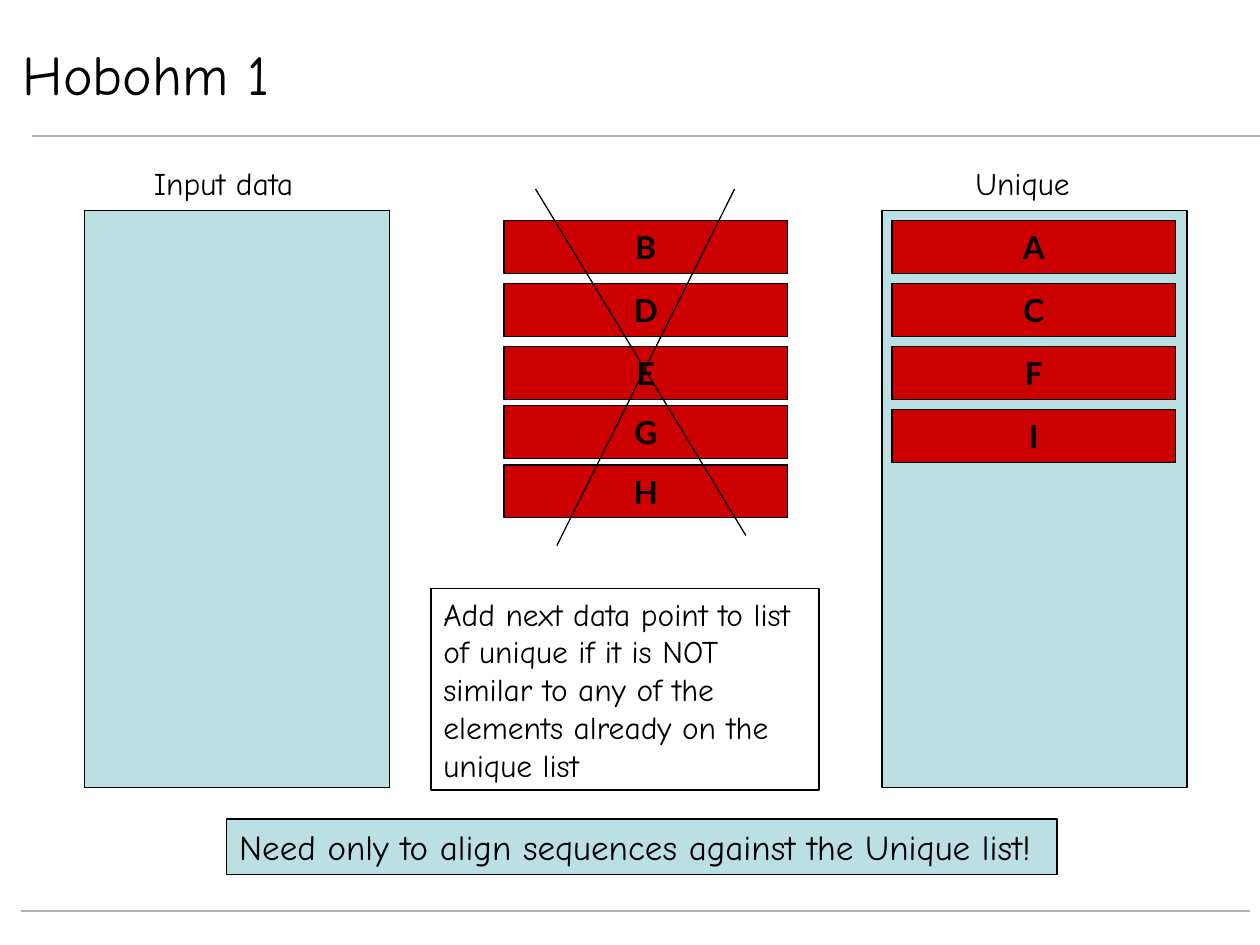
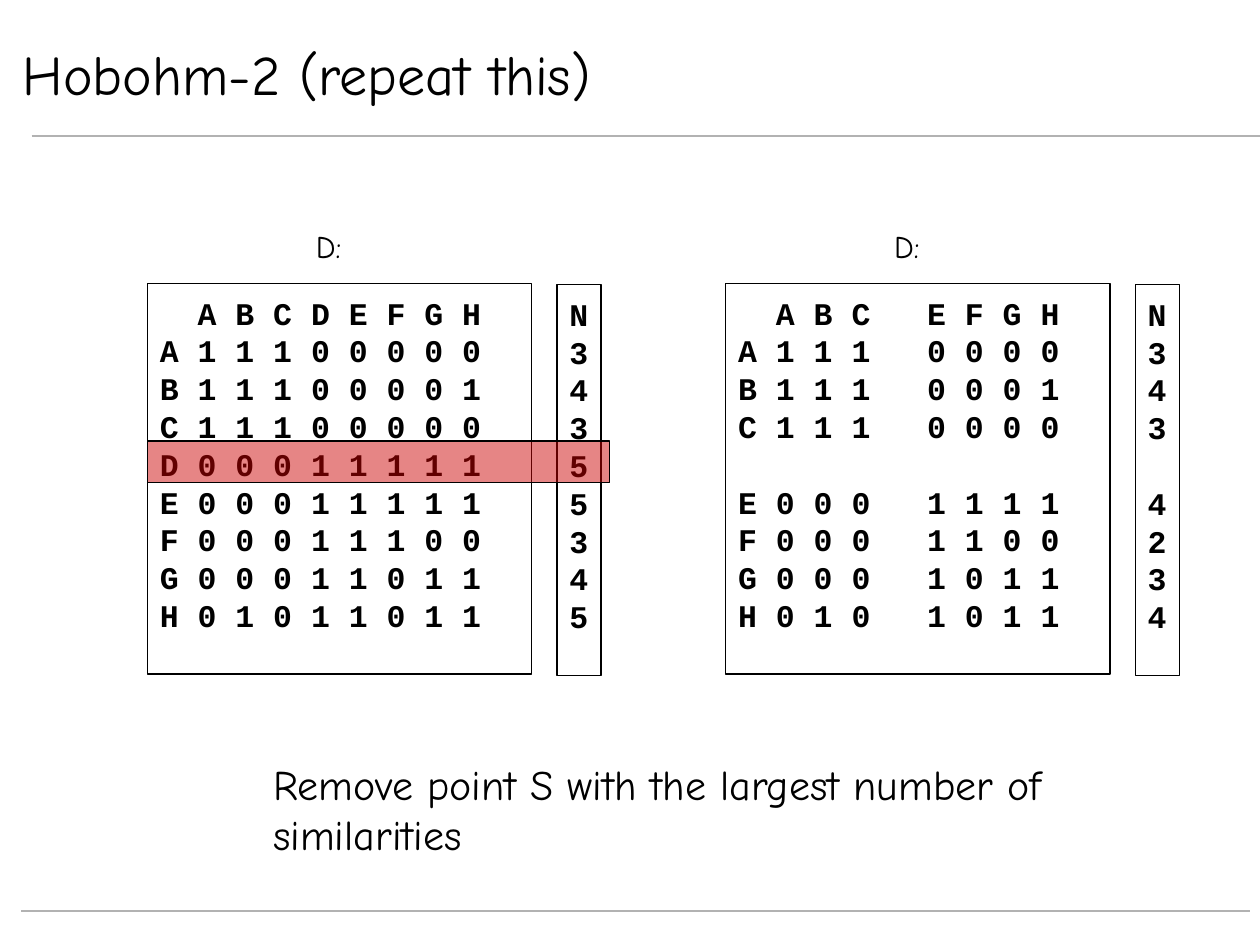
from dataclasses import dataclass

from lxml import etree
from pptx import Presentation
from pptx.dml import color
from pptx.enum import shapes, text
from pptx.oxml import ns
from pptx.util import Inches, Pt


@dataclass(frozen=True)
class Theme:
    black: str = "000000"
    white: str = "FFFFFF"
    rule: str = "B2B2B2"
    panel: str = "BBE0E3"
    bar: str = "CC0000"
    hand: str = "Comic Neue"
    sans: str = "Lato"
    mono: str = "Courier New"
    title_size: int = 32
    remark_size: int = 24
    banner_size: int = 20
    body_size: int = 18
    row_pitch: float = 21.6
    outline: float = 0.75
    rule_width: float = 1.5


@dataclass(frozen=True)
class Box:
    left: float
    top: float
    width: float
    height: float

    def lengths(self):
        return [Inches(n) for n in (self.left, self.top, self.width, self.height)]


@dataclass(frozen=True)
class Style:
    font: str
    size: int
    bold: bool = False
    centered: bool = False
    wrap: bool = True
    anchor: text.MSO_ANCHOR = text.MSO_ANCHOR.TOP


@dataclass(frozen=True)
class Bars:
    letters: str
    left: float
    tops: tuple


THEME = Theme()
TITLE = Style(THEME.hand, THEME.title_size, anchor=text.MSO_ANCHOR.MIDDLE)
CAPTION = Style(THEME.hand, THEME.body_size, centered=True, wrap=False)
NOTE = Style(THEME.hand, THEME.body_size)
BANNER = Style(THEME.hand, THEME.banner_size)
REMARK = Style(THEME.hand, THEME.remark_size)
BAR = Style(THEME.sans, THEME.body_size, True, True, False, text.MSO_ANCHOR.MIDDLE)
MATRIX = Style(THEME.mono, THEME.body_size, True)
COUNTS = Style(THEME.mono, THEME.body_size, True, wrap=False)

POINTS = "ABCDEFGH"
SIMILARITIES = dict(zip(POINTS, (
    "11100000", "11100001", "11100000", "00011111",
    "00011111", "00011100", "00011011", "01011011",
)))
COLUMN_STEP = 0.3


def rgb(value: str) -> color.RGBColor:
    return color.RGBColor.from_string(value)


def format_runs(paragraph, style: Style) -> None:
    paragraph.alignment = text.PP_ALIGN.CENTER if style.centered else text.PP_ALIGN.LEFT
    for run in paragraph.runs:
        run.font.name = style.font
        run.font.size = Pt(style.size)
        run.font.bold = style.bold
        run.font.color.rgb = rgb(THEME.black)


def write(shape, words: str, style: Style) -> None:
    frame = shape.text_frame
    frame.text = words
    frame.word_wrap = style.wrap
    frame.auto_size = text.MSO_AUTO_SIZE.NONE
    frame.vertical_anchor = style.anchor
    for paragraph in frame.paragraphs:
        format_runs(paragraph, style)


def add_box(slide, box: Box, fill: str = ""):
    shape = slide.shapes.add_shape(shapes.MSO_SHAPE.RECTANGLE, *box.lengths())
    shape.shadow.inherit = False
    if fill:
        shape.fill.solid()
        shape.fill.fore_color.rgb = rgb(fill)
    else:
        shape.fill.background()
    shape.line.color.rgb = rgb(THEME.black)
    shape.line.width = Pt(THEME.outline)
    return shape


def add_words(slide, box: Box, words: str, style: Style) -> None:
    write(slide.shapes.add_textbox(*box.lengths()), words, style)


def add_line(slide, start: tuple, end: tuple, tint: str, width: float) -> None:
    ends = [Inches(n) for n in (*start, *end)]
    line = slide.shapes.add_connector(shapes.MSO_CONNECTOR.STRAIGHT, *ends)
    line.line.color.rgb = rgb(tint)
    line.line.width = Pt(width)
    etree.SubElement(line._element.spPr, ns.qn("a:effectLst"))


def add_bars(slide, bars: Bars) -> None:
    for letter, top in zip(bars.letters, bars.tops):
        write(add_box(slide, Box(bars.left, top, 2.25, 0.42), THEME.bar), letter, BAR)


def add_titled_slide(presentation, title: str):
    slide = presentation.slides.add_slide(presentation.slide_layouts[5])
    add_line(slide, (0.25, 1.08), (10, 1.08), THEME.rule, THEME.rule_width)
    add_line(slide, (0.17, 7.23), (9.92, 7.23), THEME.rule, THEME.rule_width)
    shape = slide.shapes.title
    shape.left, shape.top, shape.width, shape.height = Box(0.08, 0.33, 7.83, 0.5).lengths()
    shape.fill.solid()
    shape.fill.fore_color.rgb = rgb(THEME.white)
    shape.line.color.rgb = rgb(THEME.white)
    shape.line.width = Pt(THEME.outline)
    write(shape, title, TITLE)
    return slide


def add_column_tabs(paragraph) -> None:
    tabs = etree.SubElement(paragraph._p.get_or_add_pPr(), ns.qn("a:tabLst"))
    for column in range(1, len(POINTS) + 1):
        position = str(Inches(COLUMN_STEP * column))
        etree.SubElement(tabs, ns.qn("a:tab"), pos=position, algn="l")


def add_rows(slide, box: Box, rows: list, style: Style, gap_row: int) -> None:
    shape = add_box(slide, box)
    write(shape, "\n".join(rows), style)
    shape.text_frame.margin_top = Inches(0.08)
    for index, paragraph in enumerate(shape.text_frame.paragraphs):
        paragraph.line_spacing = Pt(THEME.row_pitch)
        if index == gap_row:
            paragraph.space_before = Pt(THEME.row_pitch)
        if "\t" in rows[index]:
            add_column_tabs(paragraph)


def add_similarity_matrix(slide, left: float, removed: str = "") -> None:
    kept = [point for point in POINTS if point != removed]
    gap_row = POINTS.index(removed) + 1 if removed else -1

    def cells(values: str) -> list:
        return ["" if point == removed else value for point, value in zip(POINTS, values)]

    table = {point: cells(SIMILARITIES[point]) for point in kept}
    rows = ["\t".join(["", *cells(POINTS)])]
    rows += ["\t".join([point, *table[point]]) for point in kept]
    counts = ["N"] + [str(table[point].count("1")) for point in kept]
    add_rows(slide, Box(left, 2.25, 3.05, 3.1), rows, MATRIX, gap_row)
    add_rows(slide, Box(left + 3.25, 2.26, 0.35, 3.1), counts, COUNTS, gap_row)
    add_words(slide, Box(left + 1.24, 1.75, 0.48, 0.4), "D: ", CAPTION)


def build_hobohm_1(presentation) -> None:
    slide = add_titled_slide(presentation, "Hobohm 1")
    for left in (0.67, 7):
        add_box(slide, Box(left, 1.67, 2.42, 4.58), THEME.panel)
    add_words(slide, Box(1.12, 1.25, 1.31, 0.4), "Input data", CAPTION)
    add_words(slide, Box(7.64, 1.25, 0.95, 0.4), "Unique", CAPTION)
    add_bars(slide, Bars("ACFI", 7.08, (1.75, 2.25, 2.75, 3.25)))
    write(add_box(slide, Box(3.42, 4.67, 3.08, 1.6)),
          "Add next data point to list of unique if it is NOT similar "
          "to any of the elements already on the unique list", NOTE)
    add_bars(slide, Bars("BDEGH", 4, (1.75, 2.25, 2.75, 3.22, 3.69)))
    add_line(slide, (4.42, 4.33), (5.83, 1.5), THEME.black, THEME.outline)
    add_line(slide, (4.25, 1.5), (5.92, 4.25), THEME.black, THEME.outline)
    write(add_box(slide, Box(1.8, 6.5, 6.59, 0.44), THEME.panel),
          "Need only to align sequences against the Unique list!", BANNER)


def build_hobohm_2(presentation) -> None:
    slide = add_titled_slide(presentation, "Hobohm-2 (repeat this)")
    add_similarity_matrix(slide, 1.17)
    add_words(slide, Box(2.07, 5.97, 6.85, 0.9),
              "Remove point S with the largest number of similarities", REMARK)
    highlight = add_box(slide, Box(1.17, 3.5, 3.67, 0.33), THEME.bar)
    tint = highlight._element.spPr.find(ns.qn("a:solidFill"))[0]
    etree.SubElement(tint, ns.qn("a:alpha"), val="48000")
    add_similarity_matrix(slide, 5.76, removed="D")


def main() -> None:
    presentation = Presentation()
    presentation.slide_width = Inches(10)
    presentation.slide_height = Inches(7.5)
    build_hobohm_1(presentation)
    build_hobohm_2(presentation)
    presentation.save("out.pptx")


if __name__ == "__main__":
    main()
